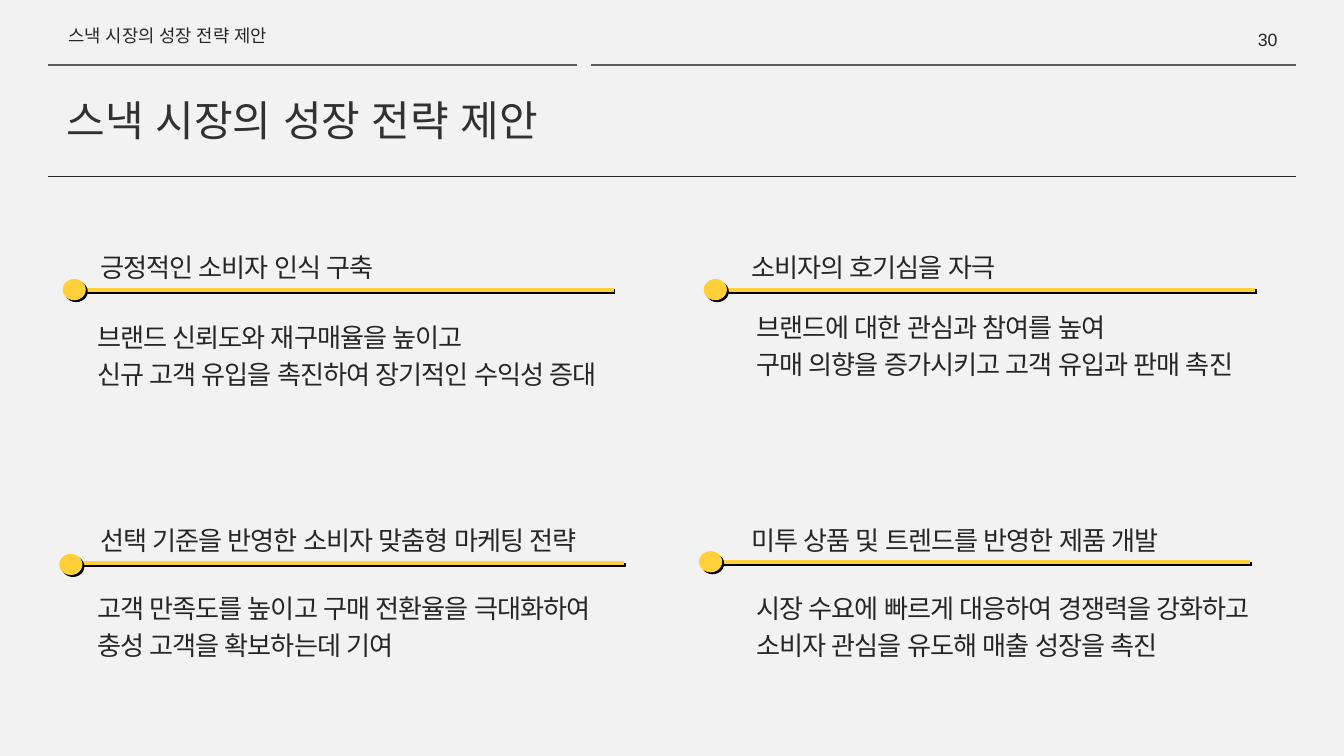
import pptx
import pptx.util
import pptx.dml.color
import pptx.enum.shapes
import pptx.enum.text
import pptx.oxml
import pptx.oxml.ns

Inches, Pt = pptx.util.Inches, pptx.util.Pt
Shape = pptx.enum.shapes.MSO_SHAPE
Line = pptx.enum.shapes.MSO_CONNECTOR
Align = pptx.enum.text.PP_ALIGN
Anchor = pptx.enum.text.MSO_ANCHOR
qn = pptx.oxml.ns.qn

HEX = {"page": "F2F2F2", "text": "262626", "title": "313131",
       "rule": "595959", "gold": "FFD037", "shade": "000000"}
FONT = "Arial"
NAME = "스낵 시장의 성장 전략 제안"


def color(key):
    return pptx.dml.color.RGBColor.from_string(HEX[key])


def assign(item, values):
    for key, value in values.items():
        setattr(item, key, value)


def write(shape, lines, size, ink="text", align=Align.LEFT,
          space=None, track=0, inset=0):
    """Fill a shape with lines of text in one style."""
    frame = shape.text_frame
    assign(frame, {"word_wrap": True, "vertical_anchor": Anchor.MIDDLE})
    assign(frame, {"margin_" + side: Inches(inset)
                   for side in ("left", "top", "right", "bottom")})
    for i, line in enumerate(lines):
        para = frame.add_paragraph() if i else frame.paragraphs[0]
        assign(para, {"alignment": align, "line_spacing": space})
        run = para.add_run()
        run.text = line
        assign(run.font, {"size": Pt(size), "name": FONT})
        run.font.color.rgb = color(ink)
        props = run.font._element
        if track:
            props.set("spc", str(track * 100))
        east = pptx.oxml.parse_xml(
            f'<a:ea {pptx.oxml.ns.nsdecls("a")} typeface="{FONT}"/>')
        props.find(qn("a:latin")).addnext(east)


def label(slide, box, lines, size, **style):
    shape = slide.shapes.add_textbox(*map(Inches, box))
    write(shape, lines, size, **style)


def pill(slide, box, lines, align=Align.LEFT):
    """Text in an unfilled rounded shape."""
    shape = slide.shapes.add_shape(Shape.ROUNDED_RECTANGLE, *map(Inches, box))
    shape.adjustments[0] = 0.5
    shape.shadow.inherit = False
    shape.fill.background()
    shape.line.fill.background()
    write(shape, lines, 28, align=align, space=1.19, track=-1)


def rule(shapes, left, top, width, ink, weight):
    line = shapes.add_connector(Line.STRAIGHT, Inches(left), Inches(top),
                                Inches(left + width), Inches(top))
    line.line.color.rgb = color(ink)
    line.line.width = Pt(weight)
    effect(line)
    return line


def effect(shape, drop=False):
    """Clear the theme shadow, or set a hard one at 45 degrees."""
    shade = (f'<a:outerShdw blurRad="0" dist="{Pt(3)}" dir="2700000" '
             f'algn="tl" rotWithShape="0"><a:srgbClr val="{HEX["shade"]}"/>'
             '</a:outerShdw>') if drop else ""
    props = shape._element.spPr
    for old in props.findall(qn("a:effectLst")):
        props.remove(old)
    props.append(pptx.oxml.parse_xml(
        f'<a:effectLst {pptx.oxml.ns.nsdecls("a")}>{shade}</a:effectLst>'))


def marker(slide, left, top, dx, dy):
    """Gold dot with a bar that starts dx, dy from its corner."""
    group = slide.shapes.add_group_shape()
    bar = rule(group.shapes, left + dx, top + dy, 8.09, "gold", 4.5)
    dot = group.shapes.add_shape(Shape.OVAL, Inches(left), Inches(top),
                                 Inches(0.33), Inches(0.3))
    dot.fill.solid()
    dot.fill.fore_color.rgb = color("gold")
    dot.line.color.rgb = color("gold")
    dot.line.width = Pt(1)
    for part in (bar, dot):
        effect(part, drop=True)


def header(slide, left, top, width):
    """Running head, page number, rules and title."""
    label(slide, (left + 16.06, top + 0.38, 2.33, 0.4), ["30"], 19,
          align=Align.RIGHT, inset=0.1)
    label(slide, (left + 0.2, top + 0.27, 6.62, 0.52), [NAME], 19, inset=0.1)
    rule(slide.shapes, left, top + 2.62, width, "text", 0.5)
    rule(slide.shapes, left, top + 0.97, 7.87, "rule", 1.5)
    rule(slide.shapes, left + 8.08, top + 0.97, width - 8.08, "rule", 1.5)
    label(slide, (left + 0.27, top + 1.24, 8.51, 1.07), [NAME], 45,
          ink="title", space=1.02)


def card(slide, left, top, head, body, shift, width, drop, dot,
         align=Align.LEFT):
    """Heading, marker and two lines of body text."""
    pill(slide, (left + shift, top, width, 0.67), [head], align)
    pill(slide, (left, top + drop, 9.98, 1.19), body)
    x, y, *start = dot
    marker(slide, left + x, top + y, *start)


# left, top, heading, body, heading shift and width, body drop, marker
CARDS = [
    (1.27, 3.6, "긍정적인 소비자 인식 구축",
     ["브랜드 신뢰도와 재구매율을 높이고",
      "신규 고객 유입을 촉진하여 장기적인 수익성 증대"],
     -0.42, 5.35, 1.05, (-0.33, 0.56, 0.1, 0.15), Align.CENTER),
    (11.08, 3.6, "소비자의 호기심을 자극",
     ["브랜드에 대한 관심과 참여를 높여",
      "구매 의향을 증가시키고 고객 유입과 판매 촉진"],
     0, 5.35, 0.9, (-0.6, 0.56, 0.1, 0.15)),
    (1.27, 7.66, "선택 기준을 반영한 소비자 맞춤형 마케팅 전략",
     ["고객 만족도를 높이고 구매 전환율을 극대화하여",
      "충성 고객을 확보하는데 기여"],
     0.12, 7.32, 1.02, (-0.38, 0.59, 0.31, 0.13)),
    (11.08, 7.66, "미투 상품 및 트렌드를 반영한 제품 개발",
     ["시장 수요에 빠르게 대응하여 경쟁력을 강화하고",
      "소비자 관심을 유도해 매출 성장을 촉진"],
     0, 8.62, 1.02, (-0.67, 0.55, 0.1, 0.15)),
]


def main():
    deck = pptx.Presentation()
    assign(deck, {"slide_width": Inches(20), "slide_height": Inches(11.25)})
    slide = deck.slides.add_slide(deck.slide_layouts[6])
    slide.background.fill.solid()
    slide.background.fill.fore_color.rgb = color("page")
    header(slide, 0.72, 0, 18.56)
    for item in CARDS:
        card(slide, *item)
    deck.save("out.pptx")


if __name__ == "__main__":
    main()
